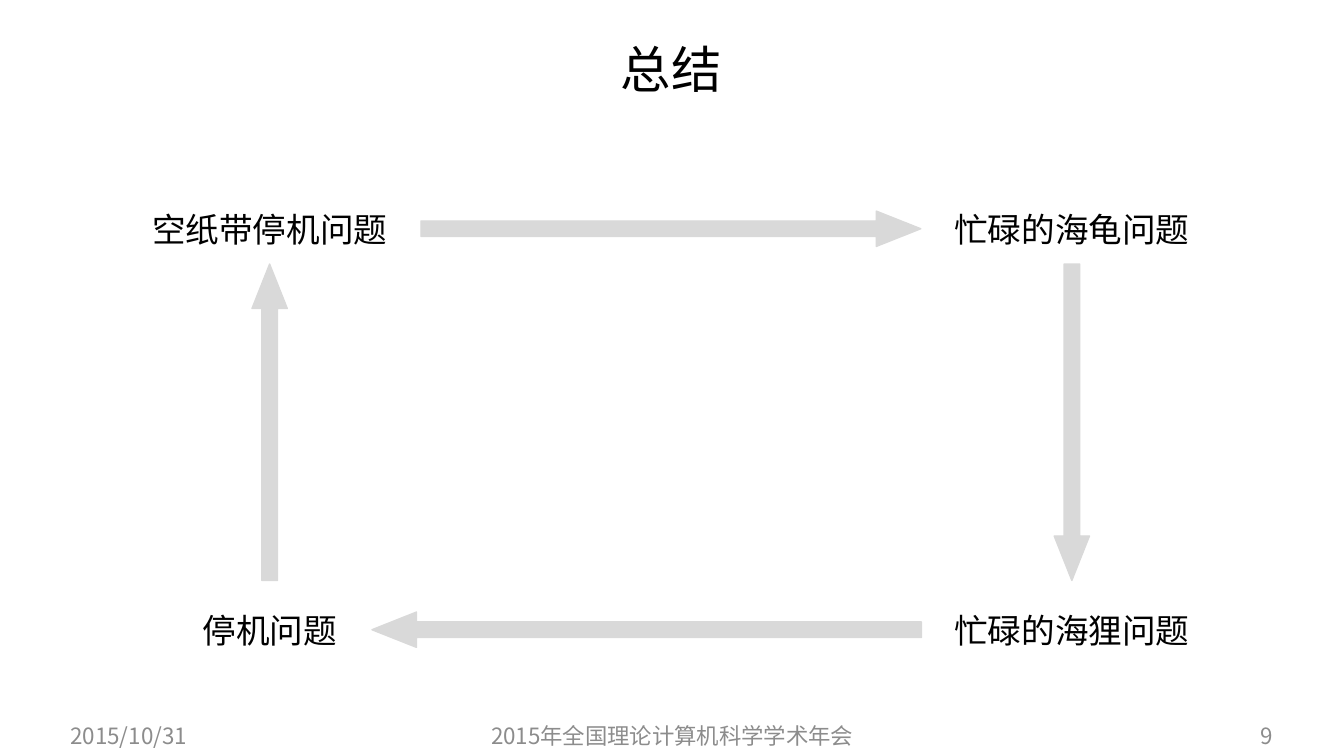
from dataclasses import dataclass

from lxml import etree
from pptx import Presentation
from pptx.dml.color import RGBColor
from pptx.enum.shapes import MSO_SHAPE
from pptx.enum.text import MSO_ANCHOR, PP_ALIGN
from pptx.oxml.ns import qn
from pptx.util import Pt

ARROW = MSO_SHAPE.UP_ARROW
MIDDLE = MSO_ANCHOR.MIDDLE
LEFT, CENTER, RIGHT = PP_ALIGN.LEFT, PP_ALIGN.CENTER, PP_ALIGN.RIGHT


@dataclass(frozen=True)
class Theme:
    """Colours, fonts and type sizes of the slide."""
    ink: RGBColor = RGBColor(0, 0, 0)
    muted: RGBColor = RGBColor(0x8C, 0x8C, 0x8C)
    arrow: RGBColor = RGBColor(0xD9, 0xD9, 0xD9)
    sans: str = "Noto Sans CJK SC"
    body: str = "Lato"
    title: int = 36
    label: int = 24
    small: int = 16


THEME = Theme()
WEST, EAST = 192.6, 765.6
NORTH, SOUTH = 163.4, 449.8
SHAFT = 25.2


def apply(target, **values):
    """Set each named attribute on the target."""
    for name, value in values.items():
        setattr(target, name, value)


def add_text(slide, text, box, size, color, face=THEME.sans, align=CENTER, space=1.0):
    """Add one line of text in a box of left, top, width and height."""
    frame = slide.shapes.add_textbox(*map(Pt, box)).text_frame
    apply(frame, word_wrap=True, vertical_anchor=MIDDLE)
    line = frame.paragraphs[0]
    apply(line, alignment=align, line_spacing=space)
    run = line.add_run()
    run.text = text
    apply(run.font, size=Pt(size), name=face)
    run.font.color.rgb = color
    east = etree.SubElement(run.font._element, qn("a:ea"))
    east.set("typeface", THEME.sans)


def add_label(slide, text, x, y, width):
    """Add a problem name centred on a point."""
    box = (x - width / 2, y - 18, width, 36)
    add_text(slide, text, box, THEME.label, THEME.ink, THEME.body)


def add_arrow(slide, x, y, length, turn):
    """Add a block arrow centred on a point and turned by degrees."""
    box = (x - SHAFT / 2, y - length / 2, SHAFT, length)
    arrow = slide.shapes.add_shape(ARROW, *map(Pt, box))
    arrow.adjustments[0] = 0.44
    arrow.adjustments[1] = 1.26
    arrow.rotation = turn
    arrow.shadow.inherit = False
    arrow.fill.solid()
    arrow.fill.fore_color.rgb = THEME.arrow
    arrow.line.color.rgb = THEME.arrow
    arrow.line.width = Pt(1)


def add_footer(slide, text, left, width, align):
    """Add one part of the footer."""
    add_text(slide, text, (left, 511.2, width, 28.8), THEME.small, THEME.muted, align=align)


def main():
    """Build and save the slide."""
    deck = Presentation()
    apply(deck, slide_width=Pt(960), slide_height=Pt(540))
    slide = deck.slides.add_slide(deck.slide_layouts[6])
    add_text(slide, "总结", (43.2, 7.2, 872.6, 89.3), THEME.title, THEME.ink, space=0.9)
    for label in (
        ("空纸带停机问题", WEST, NORTH, 192),
        ("忙碌的海龟问题", EAST, NORTH, 194.4),
        ("忙碌的海狸问题", EAST, SOUTH, 194.4),
        ("停机问题", WEST, SOUTH, 120),
    ):
        add_label(slide, *label)
    middle = (NORTH + SOUTH) / 2 - 5
    for arrow in (
        (WEST, middle, 226, 0),
        (479.2, NORTH, 357, 90),
        (EAST, middle, 226, 180),
        (461.9, SOUTH, 392.4, 270),
    ):
        add_arrow(slide, *arrow)
    for part in (
        ("2015/10/31", 43.2, 177, LEFT),
        ("2015年全国理论计算机科学学术年会", 318.2, 324, CENTER),
        ("9", 700.6, 216, RIGHT),
    ):
        add_footer(slide, *part)
    deck.save("out.pptx")


if __name__ == "__main__":
    main()
